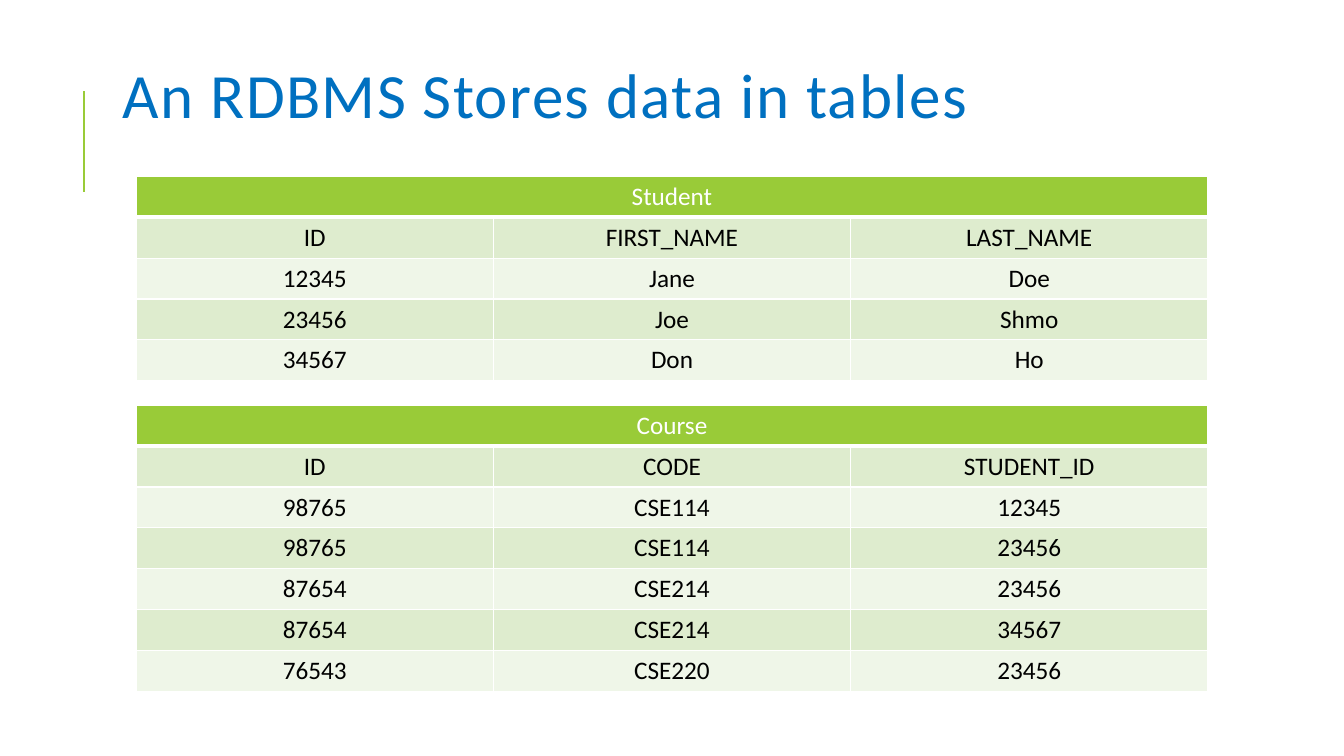
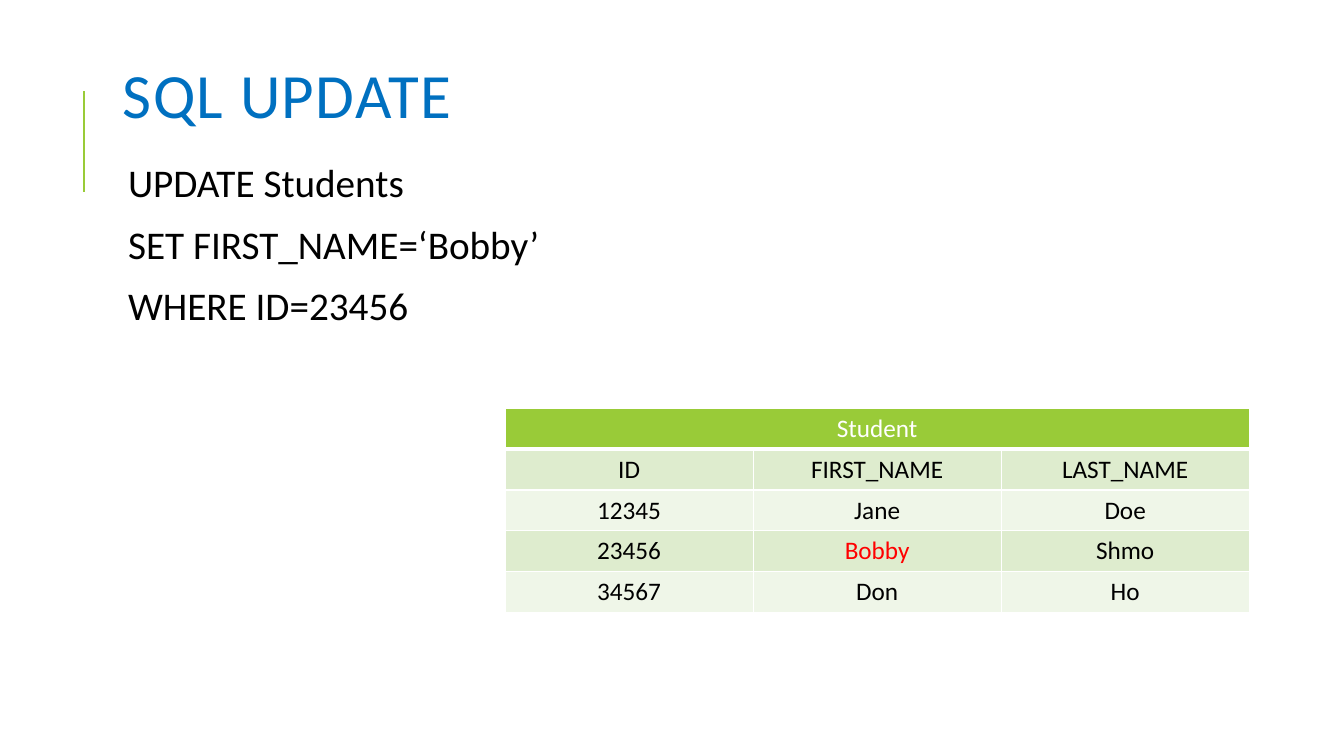
from lxml import etree
from pptx import Presentation
from pptx.dml.color import RGBColor
from pptx.enum.shapes import MSO_CONNECTOR
from pptx.enum.text import MSO_ANCHOR, PP_ALIGN
from pptx.oxml.ns import qn
from pptx.util import Inches, Pt

CENTER, MIDDLE, STRAIGHT = PP_ALIGN.CENTER, MSO_ANCHOR.MIDDLE, MSO_CONNECTOR.STRAIGHT

FONT = "Calibri"
COLORS = {
    "title": "0070C0",
    "accent": "99CB38",
    "band_dark": "DEECCE",
    "band_light": "EFF6E8",
    "text": "000000",
    "white": "FFFFFF",
    "changed": "FF0000",
}

STUDENTS = [
    ("ID", "FIRST_NAME", "LAST_NAME"),
    ("12345", "Jane", "Doe"),
    ("23456", "Joe", "Shmo"),
    ("34567", "Don", "Ho"),
]
UPDATED_STUDENTS = [
    tuple("Bobby" if value == "Joe" else value for value in row) for row in STUDENTS
]
COURSES = [
    ("ID", "CODE", "STUDENT_ID"),
    ("98765", "CSE114", "12345"),
    ("98765", "CSE114", "23456"),
    ("87654", "CSE214", "23456"),
    ("87654", "CSE214", "34567"),
    ("76543", "CSE220", "23456"),
]

# Table placement is (left, top, width) in inches.
SLIDES = [
    {
        "title": "An RDBMS Stores data in tables",
        "tables": [
            ("Student", STUDENTS, (1.35, 1.75, 10.63)),
            ("Course", COURSES, (1.35, 4.02, 10.63)),
        ],
    },
    {
        "title": "SQL UPDATE",
        "body": ["UPDATE Students", "SET FIRST_NAME=‘Bobby’", "WHERE ID=23456"],
        "tables": [("Student", UPDATED_STUDENTS, (5.01, 4.05, 7.38))],
    },
]
CHANGED_VALUES = {"Bobby"}

TEXT_LEFT, TEXT_WIDTH = 1.12, 10.63
ROW_HEIGHT = Pt(29.2)


def rgb(name):
    return RGBColor.from_string(COLORS[name])


def style(p, size, color):
    p.font.name, p.font.size = FONT, Pt(size)
    p.font.color.rgb = rgb(color)


def add_text_frame(slide, top, height):
    box = slide.shapes.add_textbox(
        Inches(TEXT_LEFT), Inches(top), Inches(TEXT_WIDTH), Inches(height))
    box.text_frame.word_wrap = True
    return box.text_frame


def add_title(slide, text):
    """Add the title and the accent rule beside it."""
    rule = slide.shapes.add_connector(
        STRAIGHT, Inches(0.83), Inches(1.9), Inches(0.83), Inches(0.9))
    rule.line.color.rgb = rgb("accent")
    rule.line.width = Pt(1.5)
    etree.SubElement(rule._element.spPr, qn("a:effectLst"))

    tf = add_text_frame(slide, 0.64, 0.72)
    tf.vertical_anchor = MIDDLE
    p = tf.paragraphs[0]
    r = p.add_run()
    r.text = text
    r._r.get_or_add_rPr().set("spc", "100")
    p.line_spacing = 0.8
    style(p, 45, "title")


def add_body(slide, lines):
    tf = add_text_frame(slide, 1.57, 5.33)
    tf.margin_left = Inches(0.15)
    tf.margin_right = tf.margin_top = tf.margin_bottom = Inches(0.05)
    for i, line in enumerate(lines):
        p = tf.add_paragraph() if i else tf.paragraphs[0]
        p.text = line
        p.line_spacing, p.space_before, p.space_after = 0.9, Pt(12), Pt(2)
        style(p, 28, "text")


def set_borders(cell, bottom):
    """Draw white 1 pt borders, with the bottom one of the given width."""
    tcPr = cell._tc.get_or_add_tcPr()
    for side, width in (("L", 1), ("R", 1), ("T", 1), ("B", bottom)):
        ln = etree.SubElement(tcPr, qn(f"a:ln{side}"), w=str(Pt(width)))
        fill = etree.SubElement(ln, qn("a:solidFill"))
        etree.SubElement(fill, qn("a:srgbClr"), val=COLORS["white"])


def add_table(slide, name, records, place):
    left, top, width = map(Inches, place)
    columns = len(records[0])
    rows = [(name,) + ("",) * (columns - 1)] + records
    table = slide.shapes.add_table(
        len(rows), columns, left, top, width, ROW_HEIGHT * len(rows)).table
    table.first_row = table.horz_banding = False
    for i, row in enumerate(rows):
        table.rows[i].height = ROW_HEIGHT
        band = "band_dark" if i % 2 else "band_light"
        for j, value in enumerate(row):
            cell = table.cell(i, j)
            set_borders(cell, bottom=1 if i else 3)
            cell.fill.solid()
            cell.fill.fore_color.rgb = rgb(band if i else "accent")
            cell.text = value
            p = cell.text_frame.paragraphs[0]
            p.alignment = CENTER
            color = "changed" if value in CHANGED_VALUES else "text"
            style(p, 18, color if i else "white")
    table.cell(0, 0).merge(table.cell(0, columns - 1))


def main():
    prs = Presentation()
    prs.slide_width, prs.slide_height = Inches(13.33), Inches(7.5)
    for content in SLIDES:
        slide = prs.slides.add_slide(prs.slide_layouts[6])
        add_title(slide, content["title"])
        if "body" in content:
            add_body(slide, content["body"])
        for name, records, place in content["tables"]:
            add_table(slide, name, records, place)
    prs.save("out.pptx")


if __name__ == "__main__":
    main()
